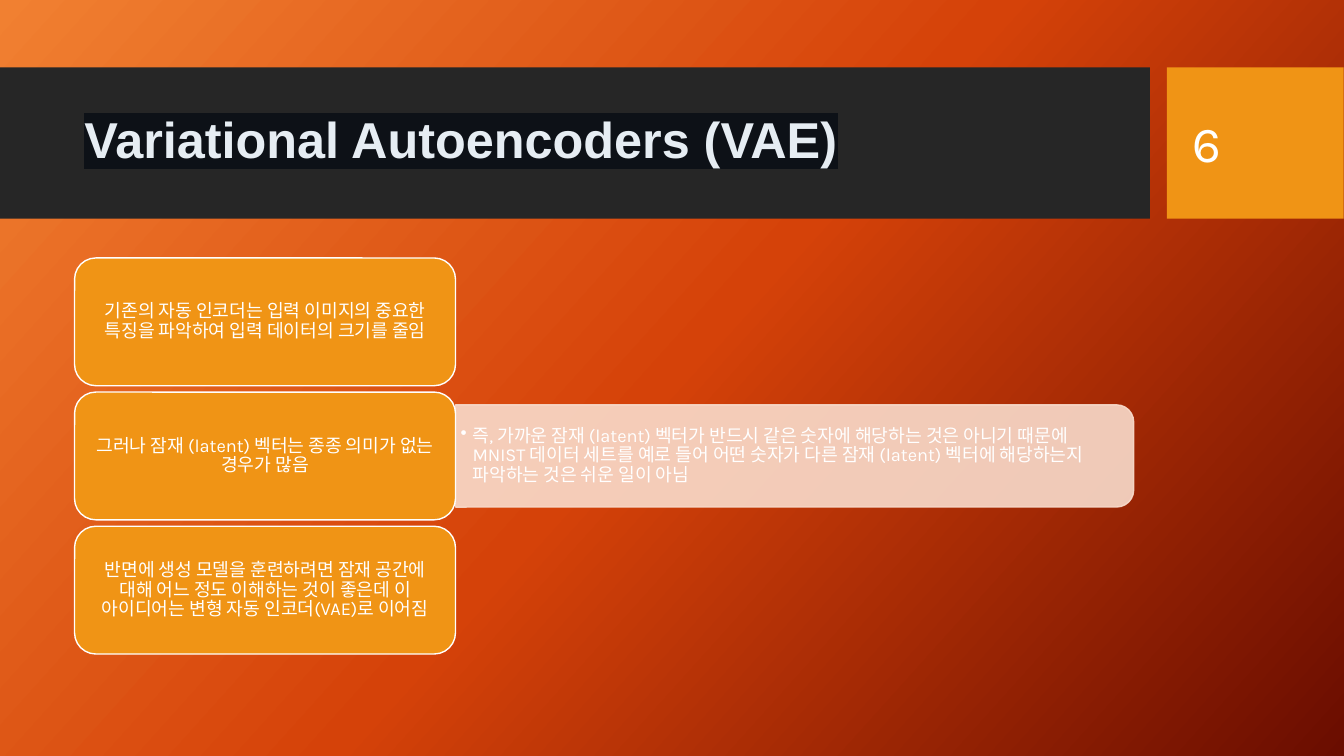
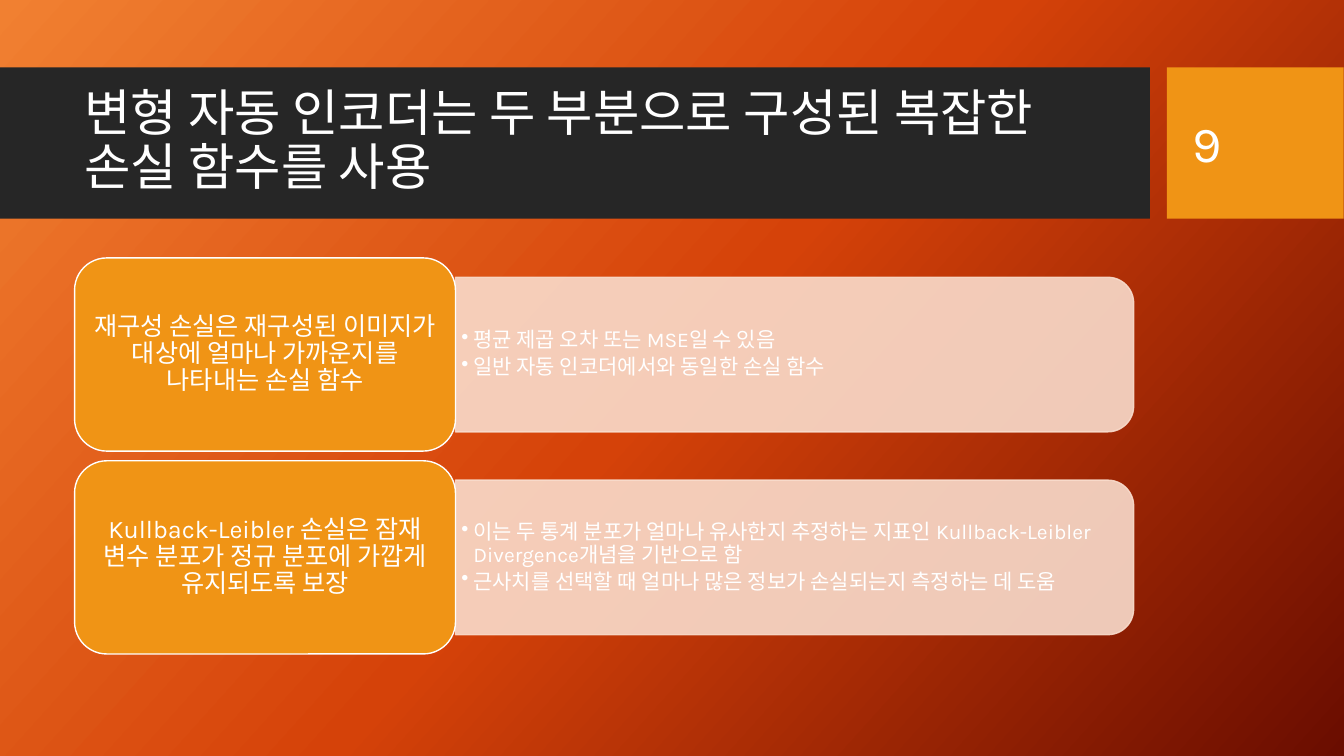
import copy
from dataclasses import dataclass

import pptx
import pptx.util
import pptx.dml.color
import pptx.enum.shapes
import pptx.enum.text
import pptx.oxml.ns
import pptx.slide
import pptx.shapes.autoshape
import pptx.text.text
from lxml import etree

Cm, Pt = pptx.util.Cm, pptx.util.Pt
RGBColor = pptx.dml.color.RGBColor
MSO_SHAPE = pptx.enum.shapes.MSO_SHAPE
MSO_ANCHOR = pptx.enum.text.MSO_ANCHOR
PP_ALIGN = pptx.enum.text.PP_ALIGN
qn = pptx.oxml.ns.qn

# Colours and fonts
WHITE = RGBColor(0xFF, 0xFF, 0xFF)
AMBER = RGBColor(0xF0, 0x94, 0x15)
CHARCOAL = RGBColor(0x26, 0x26, 0x26)
PEACH = RGBColor(0xF9, 0xDC, 0xCC)
ICE = RGBColor(0xE6, 0xED, 0xF3)
NIGHT = RGBColor(0x0D, 0x11, 0x17)
BACKGROUND = [
    (0, RGBColor(0xF1, 0x80, 0x31)),
    (0.5, RGBColor(0xD5, 0x42, 0x09)),
    (1, RGBColor(0x6A, 0x0D, 0x00)),
]
FONT = "Karla"

# Layout, in centimetres
SLIDE_W, SLIDE_H = 33.87, 19.05
BAND_TOP, BAND_H = 1.7, 3.81
LEFT, ROWS_TOP, ROWS_H = 1.88, 6.5, 9.98
CARD_W, PANEL_W = 9.6, 17.09
GAP_RATIO = 0.05  # gap between rows, as a share of the row height
PANEL_RATIO = 0.8  # panel height, as a share of the row height
CORNER_RATIO = 0.05  # room a rounded corner takes from the text


@dataclass
class TextStyle:
    size: float
    color: RGBColor = WHITE
    font: str = FONT
    bold: bool = False
    highlight: RGBColor | None = None


@dataclass
class Row:
    card: str
    points: tuple[str, ...] = ()


@dataclass
class Page:
    number: str
    title: str
    title_style: TextStyle
    card_size: float
    point_size: float
    rows: list[Row]


def add_run(p: pptx.text.text._Paragraph, text: str, style: TextStyle) -> None:
    r = p.add_run()
    r.text = text
    r.font.size = Pt(style.size)
    r.font.name = style.font
    r.font.bold = style.bold
    r.font.color.rgb = style.color
    if style.highlight is not None:
        highlight = etree.Element(qn("a:highlight"))
        etree.SubElement(highlight, qn("a:srgbClr"), val=str(style.highlight))
        r.font._element.find(qn("a:solidFill")).addnext(highlight)


def set_frame(tf: pptx.text.text.TextFrame, size: float | None = None) -> None:
    """Centre vertically; with a text size, scale the margins to it."""
    tf.word_wrap = True
    tf.vertical_anchor = MSO_ANCHOR.MIDDLE
    if size is not None:
        tf.margin_left = tf.margin_right = Cm(size * 0.01)
        tf.margin_top = tf.margin_bottom = Cm(size * 0.005)


def add_box(s: pptx.slide.Slide, kind: MSO_SHAPE, x: float, y: float, w: float,
            h: float, fill: RGBColor, line: RGBColor | None = None
            ) -> pptx.shapes.autoshape.Shape:
    sp = s.shapes.add_shape(kind, Cm(x), Cm(y), Cm(w), Cm(h))
    sp.shadow.inherit = False
    sp.fill.solid()
    sp.fill.fore_color.rgb = fill
    if line is None:
        sp.line.fill.background()
    else:
        sp.line.color.rgb = line
        sp.line.width = Pt(1)
    return sp


def add_label(s: pptx.slide.Slide, x: float, y: float, w: float, h: float,
              text: str, style: TextStyle, spacing: float = 1.0) -> None:
    tf = s.shapes.add_textbox(Cm(x), Cm(y), Cm(w), Cm(h)).text_frame
    set_frame(tf)
    p = tf.paragraphs[0]
    p.line_spacing = spacing
    add_run(p, text, style)


def add_bullet(p: pptx.text.text._Paragraph) -> None:
    pPr = p._p.get_or_add_pPr()
    pPr.set("marL", str(Cm(0.3)))
    pPr.set("indent", str(-Cm(0.3)))
    etree.SubElement(pPr, qn("a:buChar"), char="•")


def set_background(s: pptx.slide.Slide) -> None:
    fill = s.background.fill
    fill.gradient()
    fill.gradient_angle = 360 - 42
    stops = s._element.find(".//" + qn("a:gsLst"))
    stops.append(copy.deepcopy(stops[0]))
    for stop, (position, color) in zip(fill.gradient_stops, BACKGROUND):
        stop.position = position
        stop.color.rgb = color


def add_header(s: pptx.slide.Slide, page: Page) -> None:
    add_box(s, MSO_SHAPE.RECTANGLE, 0, BAND_TOP, 28.98, BAND_H, CHARCOAL)
    add_box(s, MSO_SHAPE.RECTANGLE, 29.41, BAND_TOP, 4.45, BAND_H, AMBER)
    add_label(s, LEFT, 2.08, 26.7, 3, page.title, page.title_style, 0.9)
    add_label(s, 29.8, 2.08, 3.2, 3.02, page.number, TextStyle(36))


def add_panel(s: pptx.slide.Slide, x: float, y: float, h: float,
              points: tuple[str, ...], size: float) -> None:
    # The shape stands upright and is turned so its round corners face right
    shift = (PANEL_W - h) / 2
    sp = add_box(s, MSO_SHAPE.ROUND_2_SAME_RECTANGLE, x + shift, y - shift,
                 h, PANEL_W, PEACH, PEACH)
    sp.rotation = 90
    for color in sp._element.spPr.iter(qn("a:srgbClr")):
        etree.SubElement(color, qn("a:alpha"), val="90000")

    corner = h * CORNER_RATIO
    tf = s.shapes.add_textbox(Cm(x), Cm(y + corner), Cm(PANEL_W - corner),
                              Cm(h - 2 * corner)).text_frame
    set_frame(tf, size)
    for i, point in enumerate(points):
        p = tf.add_paragraph() if i else tf.paragraphs[0]
        p.line_spacing = 0.9
        p.space_after = Pt(size * 0.2)
        add_bullet(p)
        add_run(p, point, TextStyle(size))


def add_card(s: pptx.slide.Slide, y: float, h: float, text: str,
             size: float) -> None:
    sp = add_box(s, MSO_SHAPE.ROUNDED_RECTANGLE, LEFT, y, CARD_W, h, AMBER, WHITE)
    set_frame(sp.text_frame, size)
    p = sp.text_frame.paragraphs[0]
    p.alignment = PP_ALIGN.CENTER
    p.line_spacing = 0.9
    add_run(p, text, TextStyle(size))


def add_rows(s: pptx.slide.Slide, page: Page) -> None:
    n = len(page.rows)
    h = ROWS_H / (n + (n - 1) * GAP_RATIO)
    panel_h = h * PANEL_RATIO
    for i, row in enumerate(page.rows):
        y = ROWS_TOP + i * h * (1 + GAP_RATIO)
        if row.points:
            add_panel(s, LEFT + CARD_W, y + (h - panel_h) / 2, panel_h,
                      row.points, page.point_size)
        add_card(s, y, h, row.card, page.card_size)


PAGES = [
    Page("6", "Variational Autoencoders (VAE)",
         TextStyle(36, ICE, "Arial", True, NIGHT), 13, 13, [
             Row("기존의 자동 인코더는 입력 이미지의 중요한 특징을 파악하여 "
                 "입력 데이터의 크기를 줄임"),
             Row("그러나 잠재 (latent) 벡터는 종종 의미가 없는 경우가 많음",
                 ("즉, 가까운 잠재 (latent) 벡터가 반드시 같은 숫자에 해당하는 것은 "
                  "아니기 때문에 MNIST 데이터 세트를 예로 들어 어떤 숫자가 다른 잠재 "
                  "(latent) 벡터에 해당하는지 파악하는 것은 쉬운 일이 아님",)),
             Row("반면에 생성 모델을 훈련하려면 잠재 공간에 대해 어느 정도 이해하는 "
                 "것이 좋은데 이 아이디어는 변형 자동 인코더(VAE)로 이어짐"),
         ]),
    Page("9", "변형 자동 인코더는 두 부분으로 구성된 복잡한 손실 함수를 사용",
         TextStyle(36), 18, 15, [
             Row("재구성 손실은 재구성된 이미지가 대상에 얼마나 가까운지를 나타내는 "
                 "손실 함수",
                 ("평균 제곱 오차 또는 MSE일 수 있음",
                  "일반 자동 인코더에서와 동일한 손실 함수")),
             Row("Kullback-Leibler 손실은 잠재 변수 분포가 정규 분포에 가깝게 "
                 "유지되도록 보장",
                 ("이는 두 통계 분포가 얼마나 유사한지 추정하는 지표인 "
                  "Kullback-Leibler Divergence개념을 기반으로 함",
                  "근사치를 선택할 때 얼마나 많은 정보가 손실되는지 측정하는 데 도움")),
         ]),
]


def main() -> None:
    prs = pptx.Presentation()
    prs.slide_width, prs.slide_height = Cm(SLIDE_W), Cm(SLIDE_H)
    for page in PAGES:
        s = prs.slides.add_slide(prs.slide_layouts[6])
        set_background(s)
        add_header(s, page)
        add_rows(s, page)
    prs.save("out.pptx")


if __name__ == "__main__":
    main()
